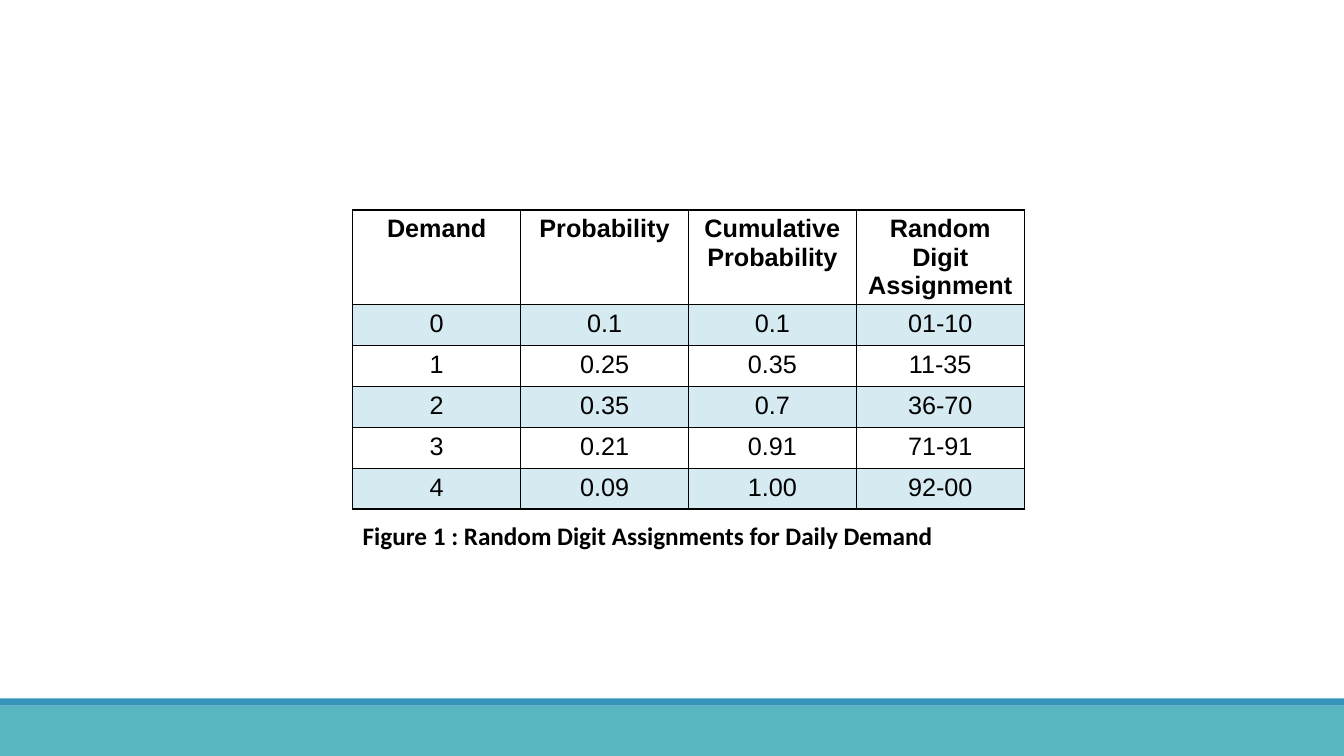
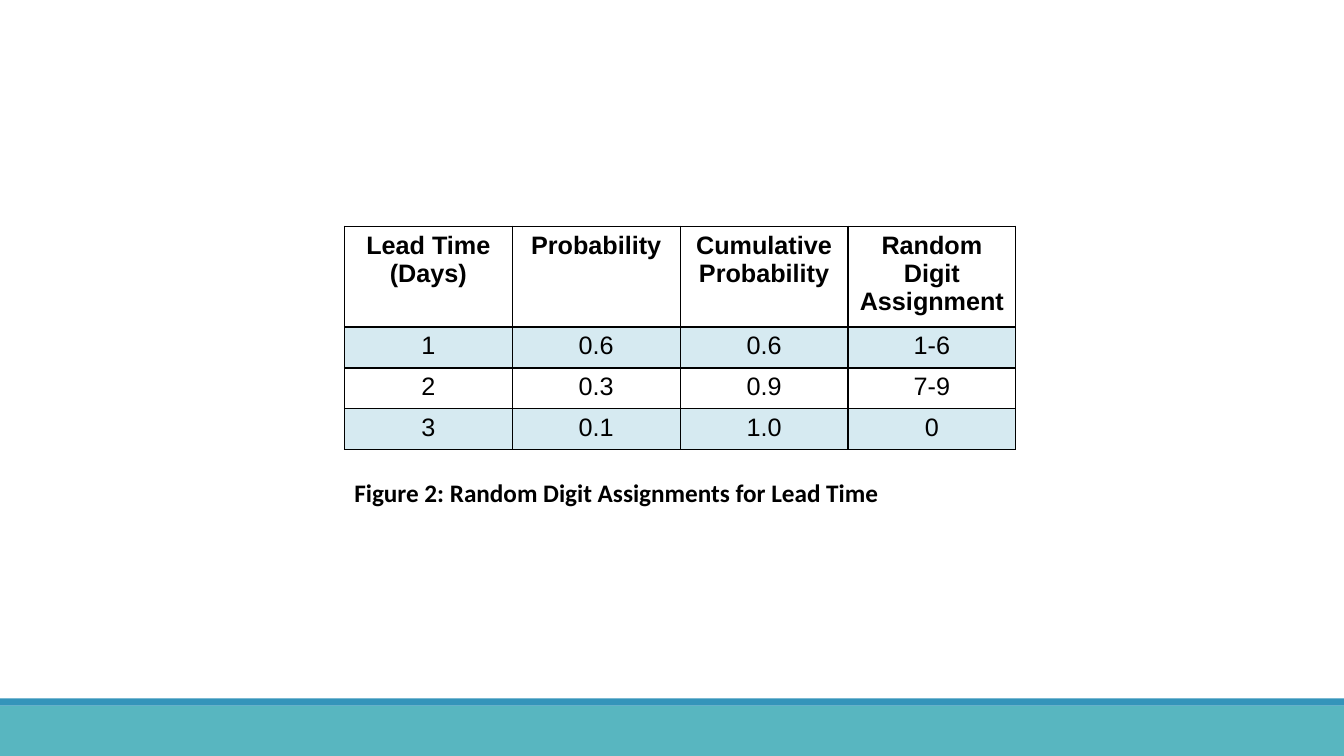
from lxml import etree
from pptx import Presentation
from pptx import util as u
from pptx.dml.color import RGBColor
from pptx.enum import shapes, text
from pptx.oxml.ns import qn

BLACK, TEAL, BLUE, PALE_BLUE = "000000", "58B6C0", "3494BA", "D6EAF1"
COLUMN_WIDTH = 4.23
ROW_HEIGHT = 1.03


def colour(value):
    return RGBColor.from_string(value)


class Deck:
    """Holds the shared style and the current slide; positions are in cm."""

    def __init__(self):
        self.presentation = Presentation()
        self.presentation.slide_width = u.Cm(33.87)
        self.presentation.slide_height = u.Cm(19.05)
        self.slide = None

    def new_slide(self):
        blank_layout = self.presentation.slide_layouts[6]
        self.slide = self.presentation.slides.add_slide(blank_layout)
        self.band(17.78, 1.27, TEAL)
        self.band(17.6, 0.18, BLUE)

    def band(self, top, height, fill):
        shape = self.slide.shapes.add_shape(
            shapes.MSO_SHAPE.RECTANGLE, 0, u.Cm(top),
            self.presentation.slide_width, u.Cm(height))
        shape.shadow.inherit = False
        shape.fill.solid()
        shape.fill.fore_color.rgb = colour(fill)
        shape.line.fill.background()

    def run(self, paragraph, words, font, bold):
        run = paragraph.add_run()
        run.text = words
        run.font.name = font
        run.font.size = u.Pt(18)
        run.font.bold = bold
        run.font.color.rgb = colour(BLACK)

    def borders(self, cell):
        properties = cell._tc.get_or_add_tcPr()
        for side in ("a:lnL", "a:lnR", "a:lnT", "a:lnB"):
            line = etree.SubElement(properties, qn(side), w=str(u.Pt(1)))
            fill = etree.SubElement(line, qn("a:solidFill"))
            etree.SubElement(fill, qn("a:srgbClr"), val=BLACK)

    def table(self, left, top, header_height, rows):
        column_count = len(rows[0])
        height = header_height + ROW_HEIGHT * (len(rows) - 1)
        table = self.slide.shapes.add_table(
            len(rows), column_count, u.Cm(left), u.Cm(top),
            u.Cm(COLUMN_WIDTH * column_count), u.Cm(height)).table
        table.first_row = False
        table.horz_banding = False
        for column in table.columns:
            column.width = u.Cm(COLUMN_WIDTH)
        for index, row in enumerate(rows):
            is_header = index == 0
            table.rows[index].height = u.Cm(header_height if is_header else ROW_HEIGHT)
            for column_index, words in enumerate(row):
                cell = table.cell(index, column_index)
                self.borders(cell)
                # Shade every other row, starting below the header
                if index % 2:
                    cell.fill.solid()
                    cell.fill.fore_color.rgb = colour(PALE_BLUE)
                else:
                    cell.fill.background()
                paragraph = cell.text_frame.paragraphs[0]
                paragraph.alignment = text.PP_ALIGN.CENTER
                self.run(paragraph, words, "Arial", is_header)

    def caption(self, left, top, words):
        box = self.slide.shapes.add_textbox(
            u.Cm(left), u.Cm(top), u.Cm(19.66), u.Cm(1.03))
        box.text_frame.word_wrap = True
        box.text_frame.auto_size = text.MSO_AUTO_SIZE.SHAPE_TO_FIT_TEXT
        self.run(box.text_frame.paragraphs[0], words, "Calibri", True)


def main():
    deck = Deck()
    shared_headers = ["Probability", "Cumulative Probability", "Random Digit Assignment"]

    # Daily demand
    deck.new_slide()
    deck.table(8.89, 5.29, 2.37, [
        ["Demand", *shared_headers],
        ["0", "0.1", "0.1", "01-10"],
        ["1", "0.25", "0.35", "11-35"],
        ["2", "0.35", "0.7", "36-70"],
        ["3", "0.21", "0.91", "71-91"],
        ["4", "0.09", "1.00", "92-00"],
    ])
    deck.caption(8.89, 12.98, "Figure 1 : Random Digit Assignments for Daily Demand")

    # Lead time
    deck.new_slide()
    deck.table(8.68, 5.7, 2.54, [
        ["Lead Time (Days)", *shared_headers],
        ["1", "0.6", "0.6", "1-6"],
        ["2", "0.3", "0.9", "7-9"],
        ["3", "0.1", "1.0", "0"],
    ])
    deck.caption(8.68, 11.91, "Figure 2: Random Digit Assignments for Lead Time")

    deck.presentation.save("out.pptx")


if __name__ == "__main__":
    main()
